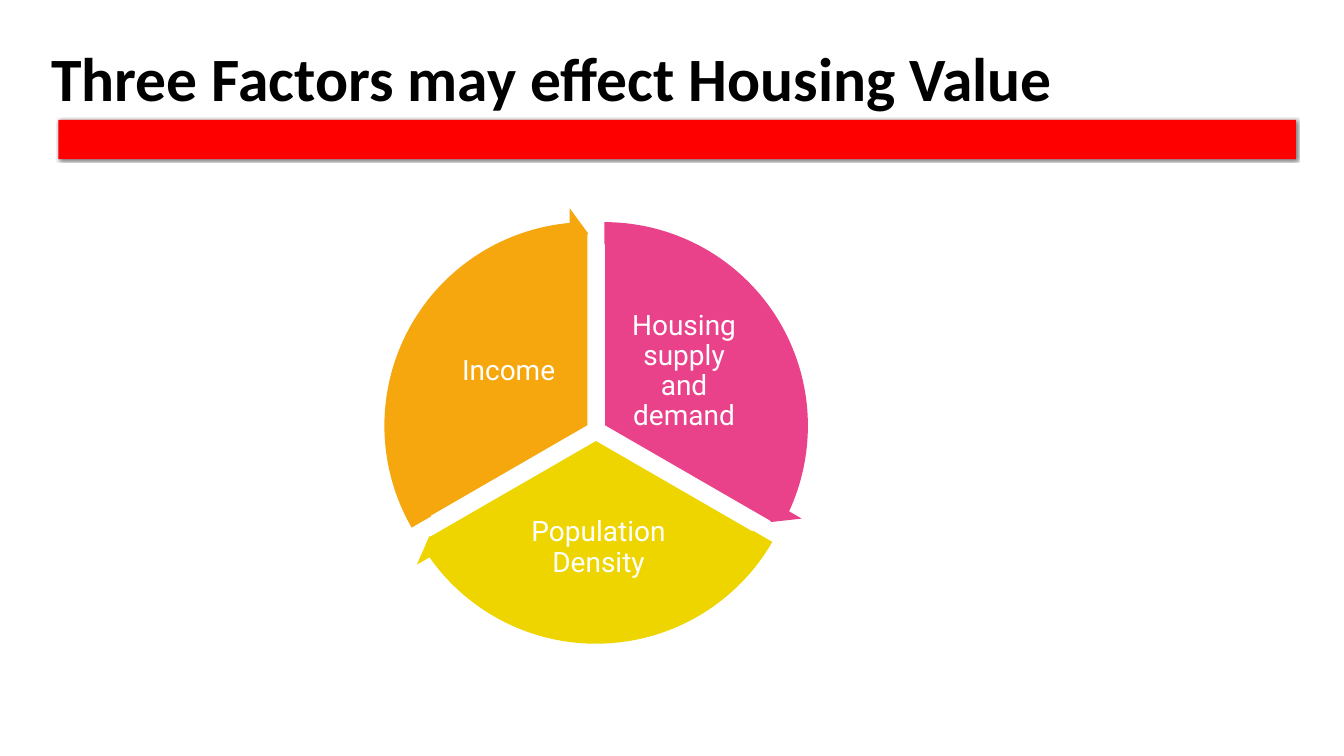
"""Build a slide with a three-part cycle of factors behind housing value."""
from lxml import etree
from pptx import Presentation
from pptx.dml.color import RGBColor
from pptx.enum.shapes import MSO_SHAPE
from pptx.enum.text import MSO_ANCHOR, PP_ALIGN
from pptx.oxml.ns import qn
from pptx.util import Cm, Pt

PIE, ARROW, RECT = MSO_SHAPE.PIE, MSO_SHAPE.CIRCULAR_ARROW, MSO_SHAPE.RECTANGLE
LEFT, CENTER = PP_ALIGN.LEFT, PP_ALIGN.CENTER
MIDDLE, BOTTOM = MSO_ANCHOR.MIDDLE, MSO_ANCHOR.BOTTOM

COLORS = {"black": "000000", "white": "FFFFFF", "red": "FF0000",
          "pink": "EA428A", "yellow": "EED500", "orange": "F5A70D"}
TITLE = {"font": {"name": "Calibri", "size": Pt(44), "bold": True},
         "para": {"alignment": LEFT, "line_spacing": 0.8},
         "frame": {"word_wrap": True, "vertical_anchor": BOTTOM},
         "color": "black"}
LABEL = {"font": {"name": "Roboto", "size": Pt(20)},
         "para": {"alignment": CENTER, "line_spacing": 0.9},
         "frame": {"word_wrap": True, "vertical_anchor": MIDDLE,
                   "margin_left": Cm(0.07), "margin_right": Cm(0.07),
                   "margin_top": Cm(0.07), "margin_bottom": Cm(0.07)},
         "color": "white"}
FACTORS = [
    ("Housing supply and demand", "pink", (15.23, 10.73), (162, 18),
     (14.725, 161.994), (15.49, 7.9, 3.5, 2.92)),
    ("Population Density", "yellow", (15.02, 11.09), (18, 90),
     (86.72, 18.005), (12.47, 12.52, 5.23, 2.57)),
    ("Income", "orange", (14.82, 10.73), (90, 162),
     (158.73, 90), (11.07, 7.9, 3.5, 2.92)),
]
PIE_SIZE, ARROW_SIZE = 9.78, 11


def tint(name):
    return RGBColor.from_string(COLORS[name])


def apply(item, values):
    for key, value in values.items():
        setattr(item, key, value)


class Deck:
    def __init__(self):
        self.prs = Presentation()
        apply(self.prs, {"slide_width": Cm(33.87), "slide_height": Cm(19.05)})
        self.slide = self.prs.slides.add_slide(self.prs.slide_layouts[6])
        self.shapes = self.slide.shapes

    def text(self, words, box, style, home=None):
        area = (home or self.shapes).add_textbox(*map(Cm, box))
        frame = area.text_frame
        apply(frame, style["frame"])
        para = frame.paragraphs[0]
        apply(para, style["para"])
        run = para.add_run()
        run.text = words
        apply(run.font, style["font"])
        run.font.color.rgb = tint(style["color"])

    def shape(self, kind, box, color, angles=(), edge=None, home=None):
        item = (home or self.shapes).add_shape(kind, *map(Cm, box))
        item.shadow.inherit = False
        item.fill.solid()
        item.fill.fore_color.rgb = tint(color)
        for index, angle in enumerate(angles):
            item.adjustments[index] = angle
        if edge:
            item.line.color.rgb = tint(edge)
            item.line.width = Pt(1)
        else:
            item.line.fill.background()
        return item

    def round(self, kind, mid, size, color, angles, home, edge=None):
        x, y = mid
        box = (x - size / 2, y - size / 2, size, size)
        self.shape(kind, box, color, angles, edge, home)

    def bar(self, box, color):
        item = self.shape(RECT, box, color)
        effects = item._element.spPr.find(qn("a:effectLst"))
        shade = etree.SubElement(effects, qn("a:outerShdw"), blurRad=str(Pt(2)),
                                 dist=str(Pt(1)), dir="2700000", rotWithShape="0")
        ink = etree.SubElement(shade, qn("a:srgbClr"), val=COLORS["black"])
        etree.SubElement(ink, qn("a:alpha"), val="50000")

    def cycle(self, factors):
        home = self.shapes.add_group_shape().shapes
        for words, color, mid, slice_, _, box in factors:
            self.round(PIE, mid, PIE_SIZE, color, slice_, home, "white")
            self.text(words, box, LABEL, home)
        for _, color, mid, _, (end, start), _ in factors:
            angles = (0.051, 3.275, end, start, 0.059)
            self.round(ARROW, mid, ARROW_SIZE, color, angles, home)


def main():
    deck = Deck()
    deck.text("Three Factors may effect Housing Value",
              (1.04, 0, 26.04, 2.97), TITLE)
    deck.cycle(FACTORS)
    deck.bar((1.47, 3.02, 31.19, 0.99), "red")
    deck.prs.save("out.pptx")


if __name__ == "__main__":
    main()
